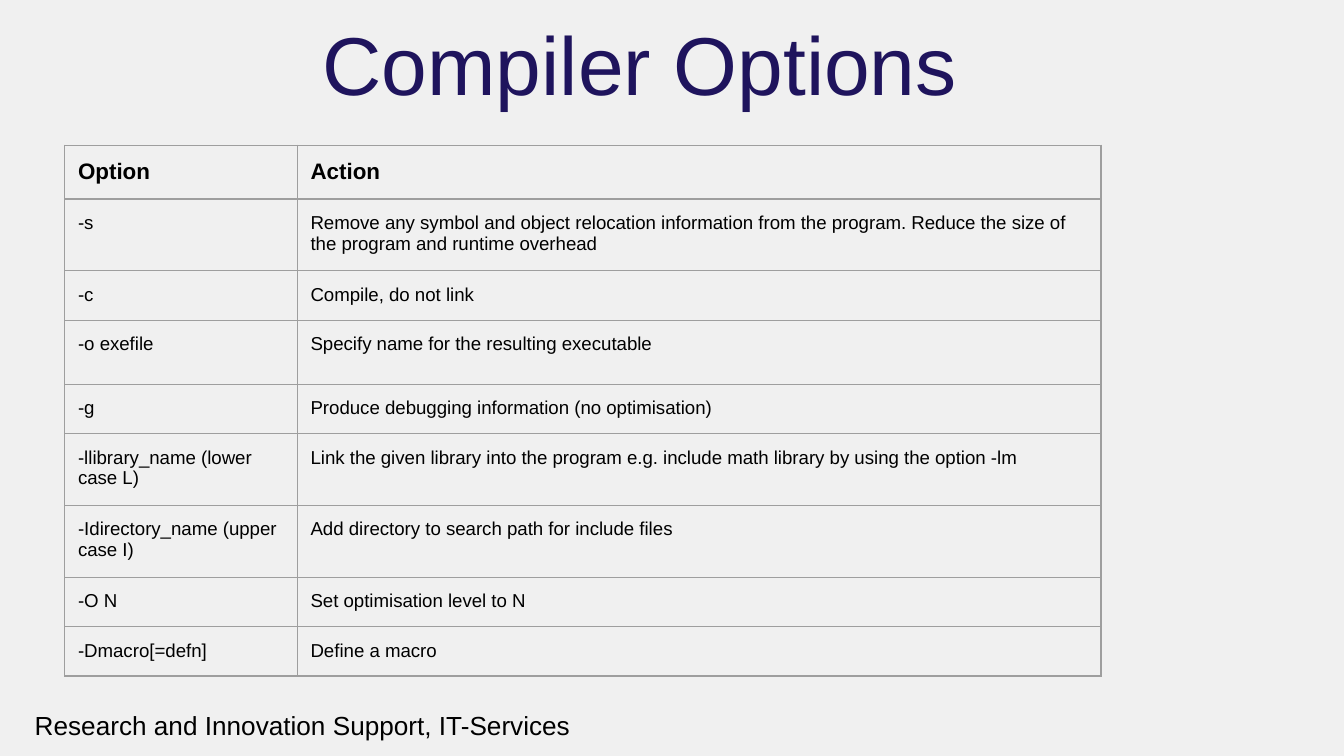
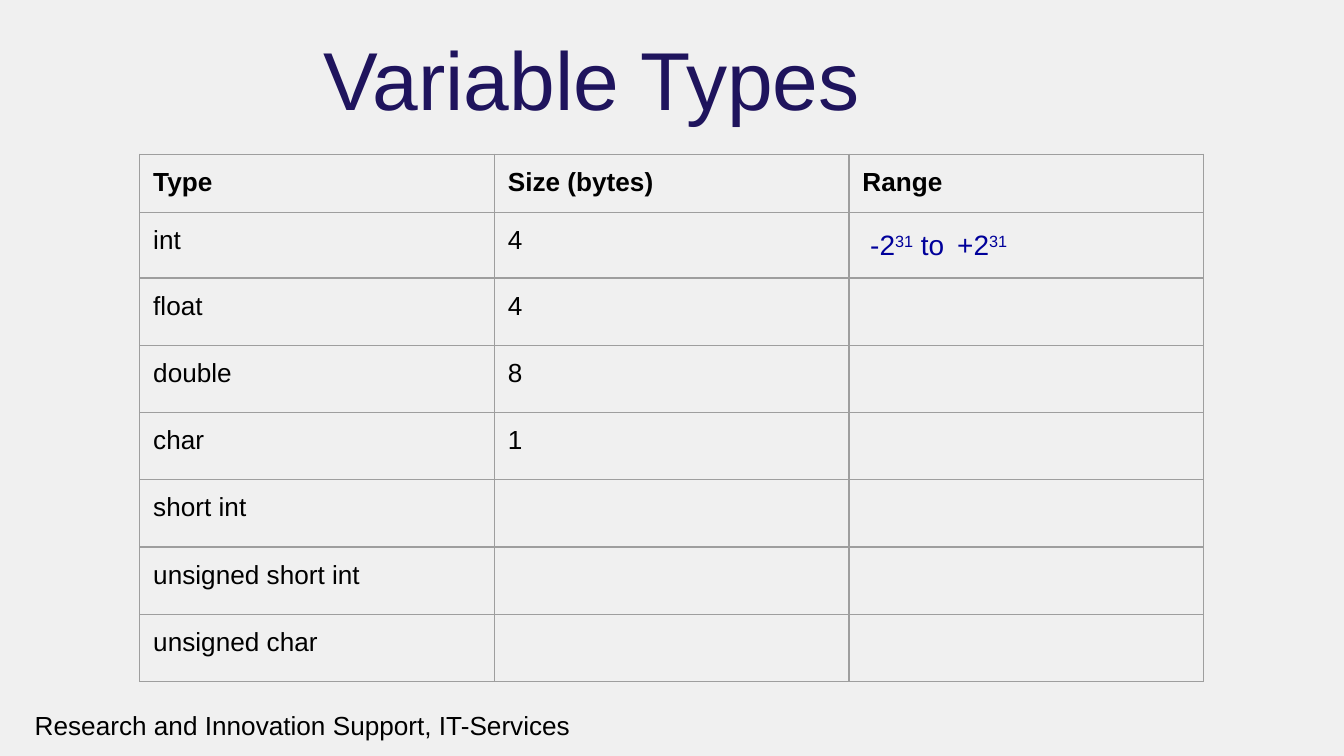
import pptx
import pptx.util
import pptx.dml.color
import pptx.enum.text
import pptx.oxml

Pt = pptx.util.Pt
NS = "http://schemas.openxmlformats.org/drawingml/2006/main"


def paint(hue):
    return pptx.dml.color.RGBColor.from_string(hue)


def write(para, text, size=14, hue="000000", bold=False, face="Arial", base=0):
    run = para.add_run()
    run.text = text
    run.font.size = Pt(size)
    run.font.name = face
    run.font.bold = bold
    run.font.color.rgb = paint(hue)
    if base:
        run.font._element.set("baseline", str(base * 1000))


class Deck:
    back = "F0F0F0"
    navy = "1F145D"
    blue = "00009A"
    rule = "9E9E9E"
    pad = 7.2
    foot = "Research and Innovation Support, IT-Services"

    def __init__(self):
        self.show = pptx.Presentation()
        self.show.slide_width = Pt(720)
        self.show.slide_height = Pt(405)
        fill = self.show.slide_master.background.fill
        fill.solid()
        fill.fore_color.rgb = paint(self.back)

    def start(self, title, left, top):
        self.slide = self.show.slides.add_slide(self.show.slide_layouts[5])
        self.footer()
        self.title(title, left, top)

    def place(self, shape, left, top, width, height):
        shape.left, shape.top = Pt(left), Pt(top)
        shape.width, shape.height = Pt(width), Pt(height)

    def footer(self):
        box = self.slide.shapes.add_textbox(Pt(11.5), Pt(373), Pt(386.6), Pt(31.7))
        self.inset(box.text_frame)
        box.text_frame.word_wrap = True
        write(box.text_frame.paragraphs[0], self.foot)

    def title(self, text, left, top):
        shape = self.slide.shapes.title
        self.place(shape, left, top, 648, 44.6)
        frame = shape.text_frame
        frame.auto_size = pptx.enum.text.MSO_AUTO_SIZE.NONE
        frame.vertical_anchor = pptx.enum.text.MSO_ANCHOR.MIDDLE
        para = frame.paragraphs[0]
        para.alignment = pptx.enum.text.PP_ALIGN.LEFT
        para.line_spacing = 0.83
        write(para, text, size=44, hue=self.navy)

    def inset(self, item):
        item.margin_left = item.margin_right = Pt(self.pad)
        item.margin_top = item.margin_bottom = Pt(self.pad)

    def edge(self, cell):
        props = cell._tc.get_or_add_tcPr()
        for spot, side in enumerate("LRTB"):
            props.insert(spot, pptx.oxml.parse_xml(
                f'<a:ln{side} xmlns:a="{NS}" w="{Pt(0.75)}"><a:solidFill>'
                f'<a:srgbClr val="{self.rule}"/></a:solidFill></a:ln{side}>'))

    def table(self, left, top, cols, highs, rows, head, size):
        grid = self.slide.shapes.add_table(
            len(rows), len(cols), Pt(left), Pt(top),
            Pt(sum(cols)), Pt(sum(highs))).table
        grid.first_row = grid.horz_banding = False
        for col, width in zip(grid.columns, cols):
            col.width = Pt(width)
        for at, (row, high) in enumerate(zip(rows, highs)):
            grid.rows[at].height = Pt(high)
            for cell, text in zip(grid.rows[at].cells, row):
                cell.fill.background()
                self.inset(cell)
                self.edge(cell)
                if text:
                    write(cell.text_frame.paragraphs[0], text,
                          size=size if at else head, bold=at == 0)
        return grid

    def power(self, cell, parts):
        para = cell.text_frame.paragraphs[0]
        para.line_spacing = 1.15
        for text, size, base in parts:
            write(para, text, size=size, hue=self.blue, base=base)


deck = Deck()

deck.start("Compiler Options", 165.6, 15.8)
one, two = 25.5, 36.8
deck.table(34.6, 77.8, [124.6, 430.6],
           [28, two, one, 34.4, one, two, two, one, one], [
    ("Option", "Action"),
    ("-s", "Remove any symbol and object relocation information from the "
           "program. Reduce the size of the program and runtime overhead"),
    ("-c", "Compile, do not link"),
    ("-o exefile", "Specify name for the resulting executable"),
    ("-g", "Produce debugging information (no optimisation)"),
    ("-llibrary_name (lower case L)",
     "Link the given library into the program e.g. include math library "
     "by using the option -lm"),
    ("-Idirectory_name (upper case I)",
     "Add directory to search path for include files"),
    ("-O N", "Set optimisation level to N"),
    ("-Dmacro[=defn]", "Define a macro"),
], head=12, size=10)

deck.start("Variable Types", 166.3, 23.8)
grid = deck.table(74.9, 82.6, [190] * 3, [30.2, 33.2] + [34.6] * 6, [
    ("Type", "Size (bytes)", "Range"),
    ("int", "4", ""),
    ("float", "4", ""),
    ("double", "8", ""),
    ("char", "1", ""),
    ("short int", "", ""),
    ("unsigned short int", "", ""),
    ("unsigned char", "", ""),
], head=14, size=14)
deck.power(grid.cell(1, 2), [
    (" -2", 15, 0), ("31", 15, 30), (" to ", 15, 0),
    (" ", 10, 0), ("+2", 15, 0), ("31", 15, 30)])

deck.show.save("out.pptx")
